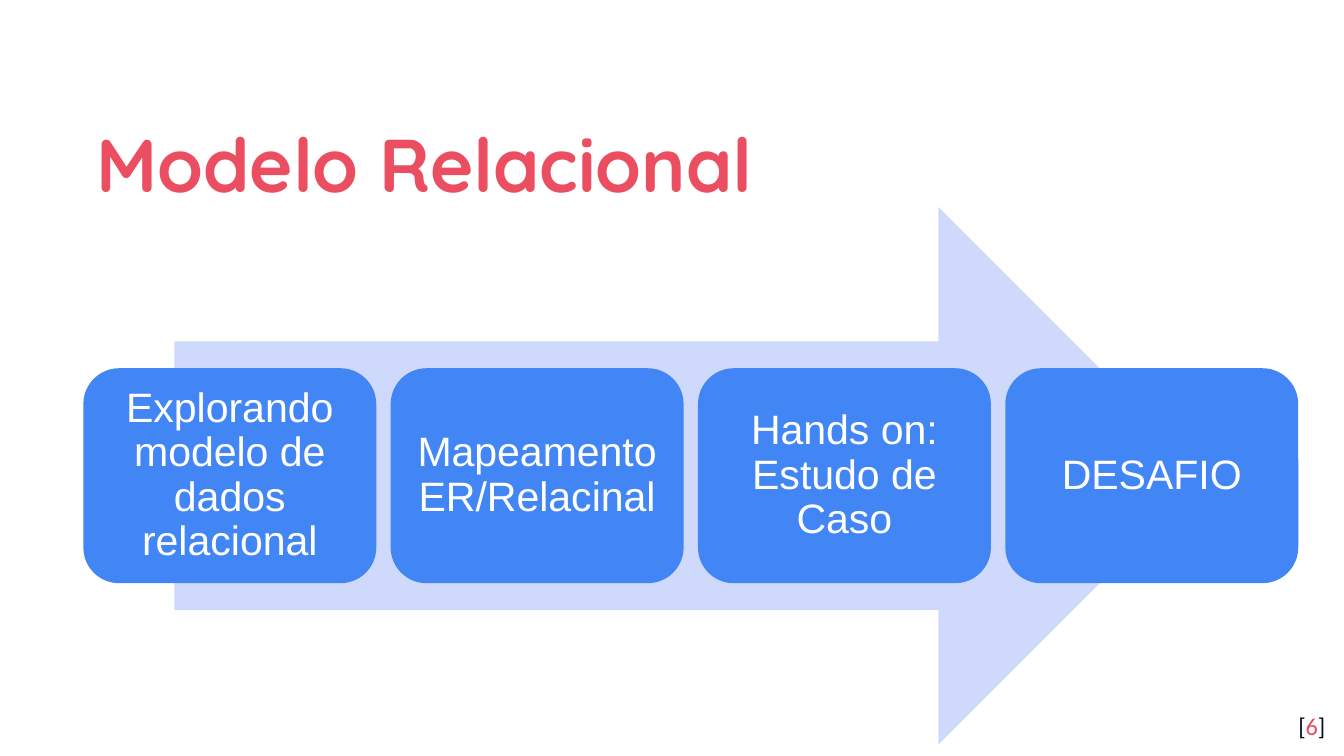
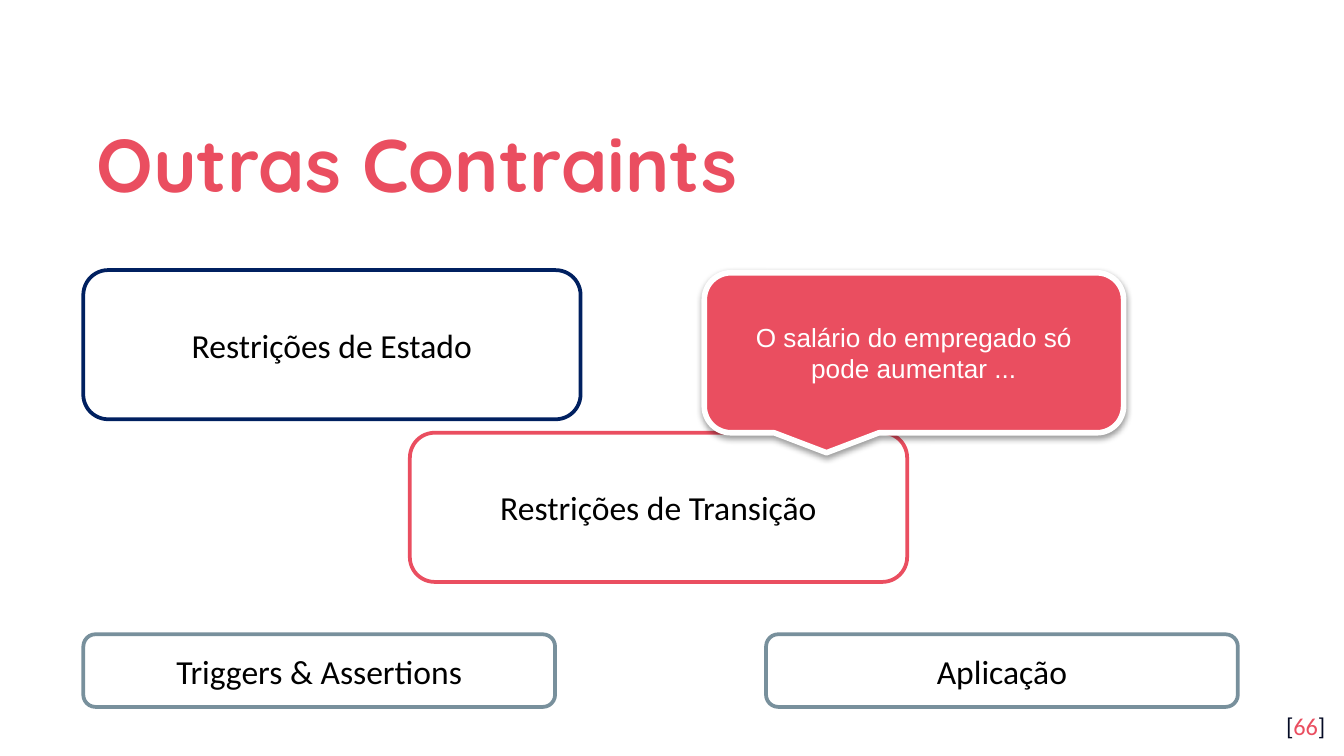
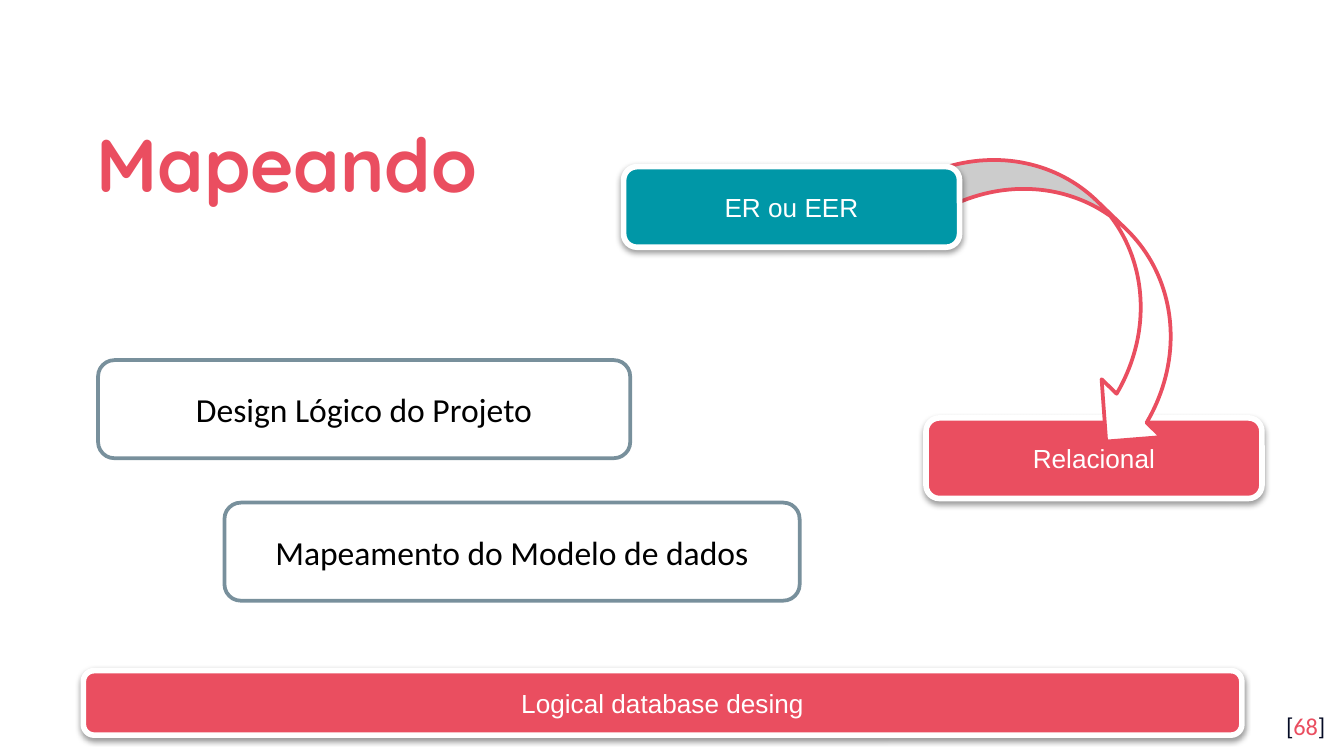
from dataclasses import dataclass
from typing import NamedTuple

from lxml import etree
from pptx import Presentation
from pptx.dml.color import RGBColor
from pptx.enum import shapes, text
from pptx.oxml.ns import qn
from pptx.util import Inches, Pt

KIND = shapes.MSO_SHAPE
ALIGN = text.PP_ALIGN
ANCHOR = text.MSO_ANCHOR


@dataclass(frozen=True)
class Theme:
    coral: str = "EA4E60"
    ink: str = "040A24"
    black: str = "000000"
    white: str = "FFFFFF"
    navy: str = "002060"
    slate: str = "78909C"
    teal: str = "0097A7"
    blue: str = "4285F4"
    pale_blue: str = "CFD9FB"
    title_font: str = "Quicksand"
    body_font: str = "Calibri"
    label_font: str = "Arial"
    title_size: int = 40
    step_size: int = 22
    body_size: int = 18
    label_size: int = 14
    number_size: int = 13
    outline: int = 2
    border: int = 3


T = Theme()


class Box(NamedTuple):
    x: float
    y: float
    w: float
    h: float

    def inner(self, dx, dy, w, h):
        return Box(self.x + dx, self.y + dy, w, h)

    def lengths(self):
        return [Inches(v) for v in self]


TITLE = Box(0.62, 0.7, 8.77, 0.92)
NUMBER = Box(9.36, 5.19, 0.6, 0.43)
STEPS = Box(0.62, 1.54, 9.04, 4)
CONSTRAINTS = Box(0.62, 2.01, 8.59, 3.25)
MAPPING = Box(0.62, 1.24, 8.77, 4.23)


def rgb(value):
    return RGBColor.from_string(value)


def write(sp, runs, font, size, bold=False, align=ALIGN.CENTER,
          anchor=ANCHOR.MIDDLE, spacing=None, inset=None):
    tf = sp.text_frame
    tf.word_wrap = True
    tf.vertical_anchor = anchor
    if inset is not None:
        tf.margin_left = tf.margin_right = Inches(inset)
        tf.margin_top = tf.margin_bottom = Inches(inset)
    p = tf.paragraphs[0]
    p.alignment = align
    if spacing:
        p.line_spacing = spacing
    for words, color in runs:
        r = p.add_run()
        r.text = words
        r.font.name = font
        r.font.size = Pt(size)
        r.font.bold = bold
        r.font.color.rgb = rgb(color)


def add_shape(s, kind, box, fill, line=None, width=T.outline):
    sp = s.shapes.add_shape(kind, *box.lengths())
    sp.shadow.inherit = False
    sp.fill.solid()
    sp.fill.fore_color.rgb = rgb(fill)
    if line:
        sp.line.color.rgb = rgb(line)
        sp.line.width = Pt(width)
    else:
        sp.line.fill.background()
    return sp


def add_shadow(sp):
    effects = sp._element.spPr.find(qn("a:effectLst"))
    shadow = etree.SubElement(effects, qn("a:outerShdw"), blurRad="40000",
                              dist="20000", dir="5400000", rotWithShape="0")
    color = etree.SubElement(shadow, qn("a:srgbClr"), val=T.black)
    etree.SubElement(color, qn("a:alpha"), val="38000")


def outlined(s, box, words, line):
    sp = add_shape(s, KIND.ROUNDED_RECTANGLE, box, T.white, line)
    write(sp, [(words, T.black)], T.body_font, T.body_size)


def raised(s, box, words, fill=T.coral, kind=KIND.ROUNDED_RECTANGLE):
    sp = add_shape(s, kind, box, fill, T.white, T.border)
    add_shadow(sp)
    write(sp, [(words, T.white)], T.label_font, T.label_size)


def add_title(s, box, words):
    sp = s.shapes.add_textbox(*box.lengths())
    write(sp, [(words, T.coral)], T.title_font, T.title_size, bold=True,
          align=ALIGN.LEFT, spacing=1.15, inset=0.1)


def add_number(s, box, number):
    sp = s.shapes.add_textbox(*box.lengths())
    write(sp, [("[", T.ink), (str(number), T.coral), ("]", T.ink)],
          T.body_font, T.number_size, align=ALIGN.RIGHT, anchor=ANCHOR.TOP,
          inset=0.1)


def draw_steps(s, box):
    steps = ["Explorando modelo de dados relacional", "Mapeamento ER/Relacinal",
             "Hands on: Estudo de Caso", "DESAFIO"]
    arrow_w = 0.85 * box.w
    add_shape(s, KIND.RIGHT_ARROW,
              box.inner((box.w - arrow_w) / 2, 0, arrow_w, box.h), T.pale_blue)
    w, h = 2.18, 0.4 * box.h
    pitch = (box.w - w) / (len(steps) - 1)
    for i, words in enumerate(steps):
        card = add_shape(s, KIND.ROUNDED_RECTANGLE,
                         box.inner(i * pitch, (box.h - h) / 2, w, h), T.blue)
        write(card, [(words, T.white)], T.label_font, T.step_size,
              spacing=0.9, inset=0.09)


def draw_constraints(s, box):
    w, h = 3.7, 1.11
    outlined(s, box.inner(0, 0, w, h), "Restrições de Estado", T.navy)
    outlined(s, box.inner(2.43, 1.21, w, h), "Restrições de Transição", T.coral)
    raised(s, box.inner(4.62, 0.02, 3.12, 1.19),
           "O salário do empregado só pode aumentar ...",
           kind=KIND.ROUNDED_RECTANGULAR_CALLOUT)
    w, h = 3.51, 0.54
    for dx, words in [(0, "Triggers & Assertions"), (box.w - w, "Aplicação")]:
        outlined(s, box.inner(dx, box.h - h, w, h), words, T.slate)


def draw_mapping(s, box):
    bar_h, label_w, label_h = 0.48, 2.5, 0.6
    raised(s, box.inner(0, box.h - bar_h, 8.62, bar_h), "Logical database desing")
    outlined(s, box.inner(0.11, 1.44, 3.96, 0.73), "Design Lógico do Projeto", T.slate)
    outlined(s, box.inner(1.05, 2.5, 4.28, 0.73), "Mapeamento do Modelo de dados", T.slate)
    raised(s, box.inner(box.w - label_w, 1.87, label_w, label_h), "Relacional")
    arrow = add_shape(s, KIND.CURVED_DOWN_ARROW, box.inner(5.9, 0.24, 2.75, 1.24),
                      T.white, T.coral)
    arrow.rotation = 44
    raised(s, box.inner(4.02, 0, label_w, label_h), "ER ou EER", T.teal)


def main():
    prs = Presentation()
    prs.slide_width = Inches(10)
    prs.slide_height = Inches(10 * 9 / 16)
    pages = [
        ("Modelo Relacional", 6, draw_steps, STEPS),
        ("Outras Contraints", 66, draw_constraints, CONSTRAINTS),
        ("Mapeando", 68, draw_mapping, MAPPING),
    ]
    for title, number, draw, box in pages:
        s = prs.slides.add_slide(prs.slide_layouts[6])
        add_title(s, TITLE, title)
        add_number(s, NUMBER, number)
        draw(s, box)
    prs.save("out.pptx")


if __name__ == "__main__":
    main()
